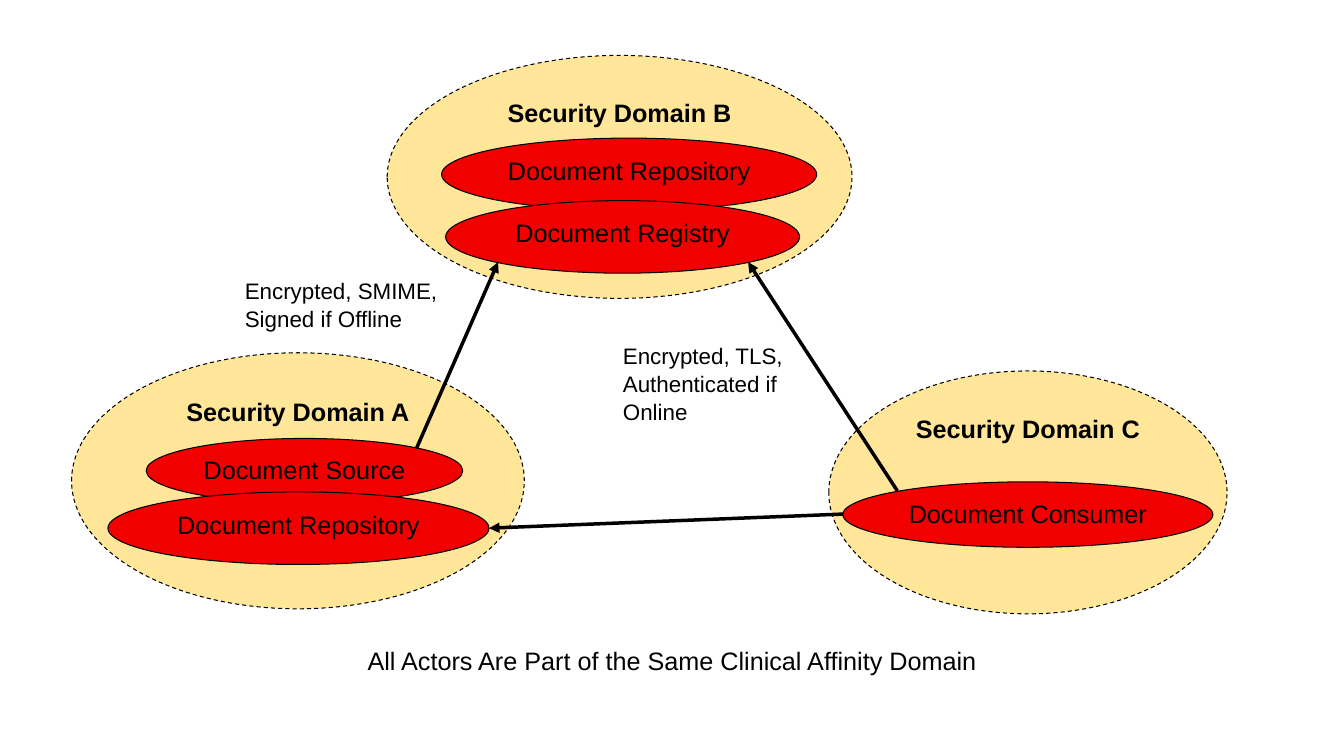
from typing import NamedTuple

from lxml import etree
from pptx import Presentation
from pptx.dml.color import RGBColor
from pptx.enum import dml, shapes, text
from pptx.oxml.ns import qn
from pptx.util import Emu, Pt

PX = 9144  # EMU per px, 100 px to the inch
BLACK = RGBColor(0x00, 0x00, 0x00)
SAND = RGBColor(0xFF, 0xE6, 0x99)
RED = RGBColor(0xF2, 0x00, 0x00)
FONT = "Arial"


class Box(NamedTuple):
    text: str
    x: int
    y: int
    w: int
    h: int


class Arrow(NamedTuple):
    x1: int
    y1: int
    x2: int
    y2: int


DOMAINS = [
    Box("Security Domain B", 384, 55, 461, 241),
    Box("Security Domain A", 71, 350, 449, 254),
    Box("Security Domain C", 822, 368, 395, 241),
]
ACTORS = [
    Box("Document Source", 145, 435, 314, 64),
    Box("Document Consumer", 836, 478, 367, 65),
    Box("Document Repository", 438, 137, 372, 72),
    Box("Document Registry", 442, 199, 351, 72),
    Box("Document Repository", 107, 488, 378, 72),
]
LABELS = [
    Box("Encrypted, TLS, Authenticated if Online", 608, 333, 242, 111),
    Box("Encrypted, SMIME, Signed if Offline", 233, 269, 242, 97),
]
FOOTER = Box("All Actors Are Part of the Same Clinical Affinity Domain",
             124, 634, 1085, 49)
ARROWS = [
    Arrow(413, 445, 494, 260),
    Arrow(890, 487, 742, 260),
    Arrow(836, 510, 485, 524),
]


def px(*sizes: int) -> list[Emu]:
    return [Emu(size * PX) for size in sizes]


def write(shape, words: str, size: int = 18, bold: bool = False,
          align=text.PP_ALIGN.CENTER) -> None:
    frame = shape.text_frame
    frame.word_wrap = True
    frame.vertical_anchor = text.MSO_ANCHOR.TOP
    frame.margin_left, frame.margin_right = px(10, 14)
    if align == text.PP_ALIGN.CENTER:
        frame.margin_right = frame.margin_left
    frame.margin_top, frame.margin_bottom = px(5, 5)
    para = frame.paragraphs[0]
    para.alignment = align
    para.line_spacing = 1.05
    run = para.add_run()
    run.text = words
    font = run.font
    font.name, font.size, font.bold = FONT, Pt(size), bold
    font.color.rgb = BLACK


def oval(slide, box: Box, fill: RGBColor, dashed: bool = False) -> None:
    shape = slide.shapes.add_shape(
        shapes.MSO_SHAPE.OVAL, *px(box.x, box.y, box.w, box.h))
    shape.shadow.inherit = False
    shape.fill.solid()
    shape.fill.fore_color.rgb = fill
    shape.line.color.rgb = BLACK
    shape.line.width = Pt(0.75)
    if dashed:
        shape.line.dash_style = dml.MSO_LINE.DASH
    write(shape, box.text, bold=dashed)


def label(slide, box: Box, **style) -> None:
    shape = slide.shapes.add_textbox(*px(box.x, box.y, box.w, box.h))
    write(shape, box.text, **style)


def link(slide, arrow: Arrow) -> None:
    """Draw a line with its arrowhead at the second point."""
    line = slide.shapes.add_connector(
        shapes.MSO_CONNECTOR.STRAIGHT, *px(*arrow))
    line.line.color.rgb = BLACK
    line.line.width = Pt(2.5)
    props = line._element.spPr
    etree.SubElement(props.find(qn("a:ln")), qn("a:tailEnd"), type="triangle")
    etree.SubElement(props, qn("a:effectLst"))


def main() -> None:
    deck = Presentation()
    deck.slide_width, deck.slide_height = px(1333, 750)
    slide = deck.slides.add_slide(deck.slide_layouts[6])
    for domain in DOMAINS:
        oval(slide, domain, SAND, dashed=True)
    for actor in ACTORS:
        oval(slide, actor, RED)
    for note in LABELS:
        label(slide, note, size=16, align=text.PP_ALIGN.LEFT)
    label(slide, FOOTER)
    for arrow in ARROWS:
        link(slide, arrow)
    deck.save("out.pptx")


if __name__ == "__main__":
    main()
